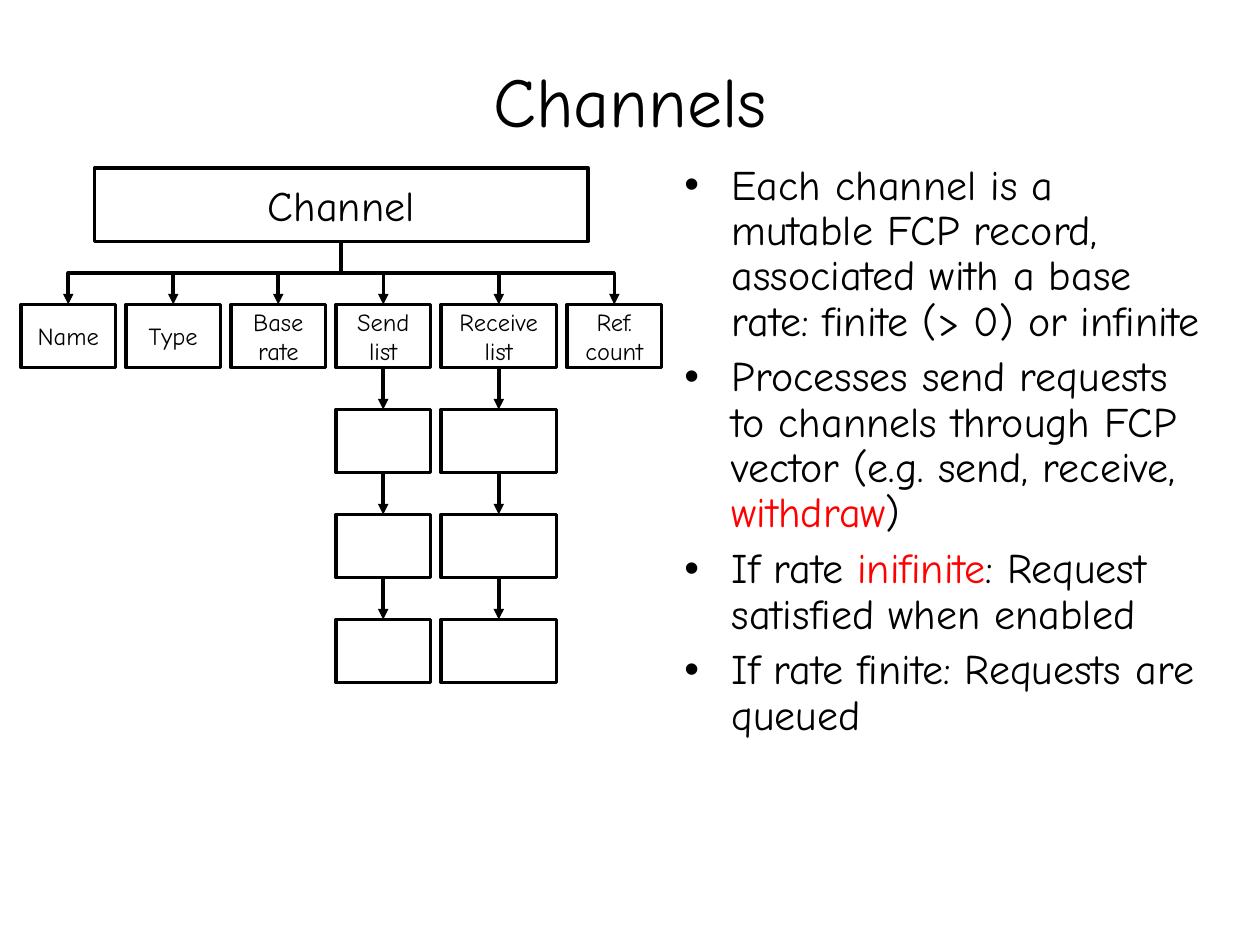
import pptx
import pptx.dml.color
import pptx.enum.shapes
import pptx.enum.text
import pptx.oxml
import pptx.oxml.ns
import pptx.util

COLORS = {"ink": "000000", "accent": "FF0000"}
FONT = "Comic Neue"
PX = 9525
BOTTOM, TOP = 2, 0
ALIGN = pptx.enum.text.PP_ALIGN
ANCHOR = pptx.enum.text.MSO_ANCHOR
CONNECTOR = pptx.enum.shapes.MSO_CONNECTOR
RECTANGLE = pptx.enum.shapes.MSO_SHAPE.RECTANGLE


def px(value):
    return pptx.util.Emu(round(value * PX))


def rgb(name):
    return pptx.dml.color.RGBColor.from_string(COLORS[name])


def apply(target, **values):
    for name, value in values.items():
        setattr(target, name, value)


def add_child(parent, tag, **attributes):
    child = pptx.oxml.parse_xml(f"<a:{tag} {pptx.oxml.ns.nsdecls('a')}/>")
    for name, value in attributes.items():
        child.set(name, value)
    parent.append(child)


class Painter:
    def __init__(self, page):
        self.page = page

    def add_span(self, para, text, size, color="ink"):
        span = para.add_run()
        span.text = text
        apply(span.font, size=pptx.util.Pt(size), name=FONT)
        span.font.color.rgb = rgb(color)

    def outline(self, item):
        item.line.color.rgb = rgb("ink")
        item.line.width = pptx.util.Pt(2)

    def title(self, text, *place):
        box = self.page.shapes.add_textbox(*map(px, place))
        apply(box.text_frame, word_wrap=True, vertical_anchor=ANCHOR.MIDDLE)
        para = box.text_frame.paragraphs[0]
        para.alignment = ALIGN.CENTER
        self.add_span(para, text, 40)

    def bullets(self, items, *place):
        box = self.page.shapes.add_textbox(*map(px, place))
        box.text_frame.word_wrap = True
        for index, item in enumerate(items):
            para = box.text_frame.add_paragraph() if index else box.text_frame.paragraphs[0]
            para.line_spacing = 0.9
            if index:
                para.space_before = pptx.util.Pt(6)
            properties = para._p.get_or_add_pPr()
            properties.set("marL", str(px(36)))
            properties.set("indent", str(px(-36)))
            add_child(properties, "buFont", typeface="Arial")
            add_child(properties, "buChar", char="•")
            for text, color in item:
                self.add_span(para, text, 24, color)

    def rectangle(self, *place, text="", size=14, wrap=True):
        box = self.page.shapes.add_shape(RECTANGLE, *map(px, place))
        box.shadow.inherit = False
        box.fill.background()
        self.outline(box)
        if text:
            apply(box.text_frame, word_wrap=wrap, vertical_anchor=ANCHOR.MIDDLE)
            para = box.text_frame.paragraphs[0]
            para.alignment = ALIGN.CENTER
            self.add_span(para, text, size)
        return box

    def finish_arrow(self, arrow):
        self.outline(arrow)
        add_child(arrow.line._get_or_add_ln(), "tailEnd", type="triangle")
        add_child(arrow._element.spPr, "effectLst")

    def arrow(self, upper, lower):
        arrow = self.page.shapes.add_connector(CONNECTOR.STRAIGHT, 0, 0, 0, 0)
        arrow.begin_connect(upper, BOTTOM)
        arrow.end_connect(lower, TOP)
        self.finish_arrow(arrow)

    def branch(self, start_x, start_y, end_x, end_y):
        middle_x, middle_y = (start_x + end_x) / 2, (start_y + end_y) / 2
        side = 1 if end_x < start_x else -1
        reach = side * (end_y - start_y) / 2
        spread = abs(end_x - start_x) / 2
        ends = (middle_x - reach, middle_y - spread, middle_x + reach, middle_y + spread)
        arrow = self.page.shapes.add_connector(CONNECTOR.ELBOW, *map(px, ends))
        turn = 90 if side > 0 else 270
        arrow._element.spPr.find(pptx.oxml.ns.qn("a:xfrm")).set("rot", str(turn * 60000))
        self.finish_arrow(arrow)


def main():
    deck = pptx.Presentation()
    apply(deck, slide_width=px(960), slide_height=px(720))
    painter = Painter(deck.slides.add_slide(deck.slide_layouts[6]))

    painter.title("Channels", 72, 16, 816, 120)
    painter.bullets([
        [("Each channel is a mutable FCP record, associated with a base rate: "
          "finite (> 0) or infinite", "ink")],
        [("Processes send requests to channels through FCP vector "
          "(e.g. send, receive, ", "ink"), ("withdraw", "accent"), (")", "ink")],
        [("If rate ", "ink"), ("inifinite", "accent"),
         (": Request satisfied when enabled", "ink")],
        [("If rate finite: Requests are queued", "ink")],
    ], 512, 120, 416, 512)

    painter.rectangle(72, 128, 376, 56, text="Channel", size=24, wrap=False)
    fields = [("Name", 72), ("Type", 72), ("Base rate", 72),
              ("Send list", 72), ("Receive list", 88), ("Ref. count", 72)]
    left, top, height, gap, pitch = 16, 232, 48, 8, 80
    for label, width in fields:
        previous = painter.rectangle(left, top, width, height, text=label)
        painter.branch(260, 184, left + width / 2, top)
        if label.endswith("list"):
            for step in range(1, 4):
                node = painter.rectangle(left, top + step * pitch, width, height)
                painter.arrow(previous, node)
                previous = node
        left += width + gap

    deck.save("out.pptx")


if __name__ == "__main__":
    main()
